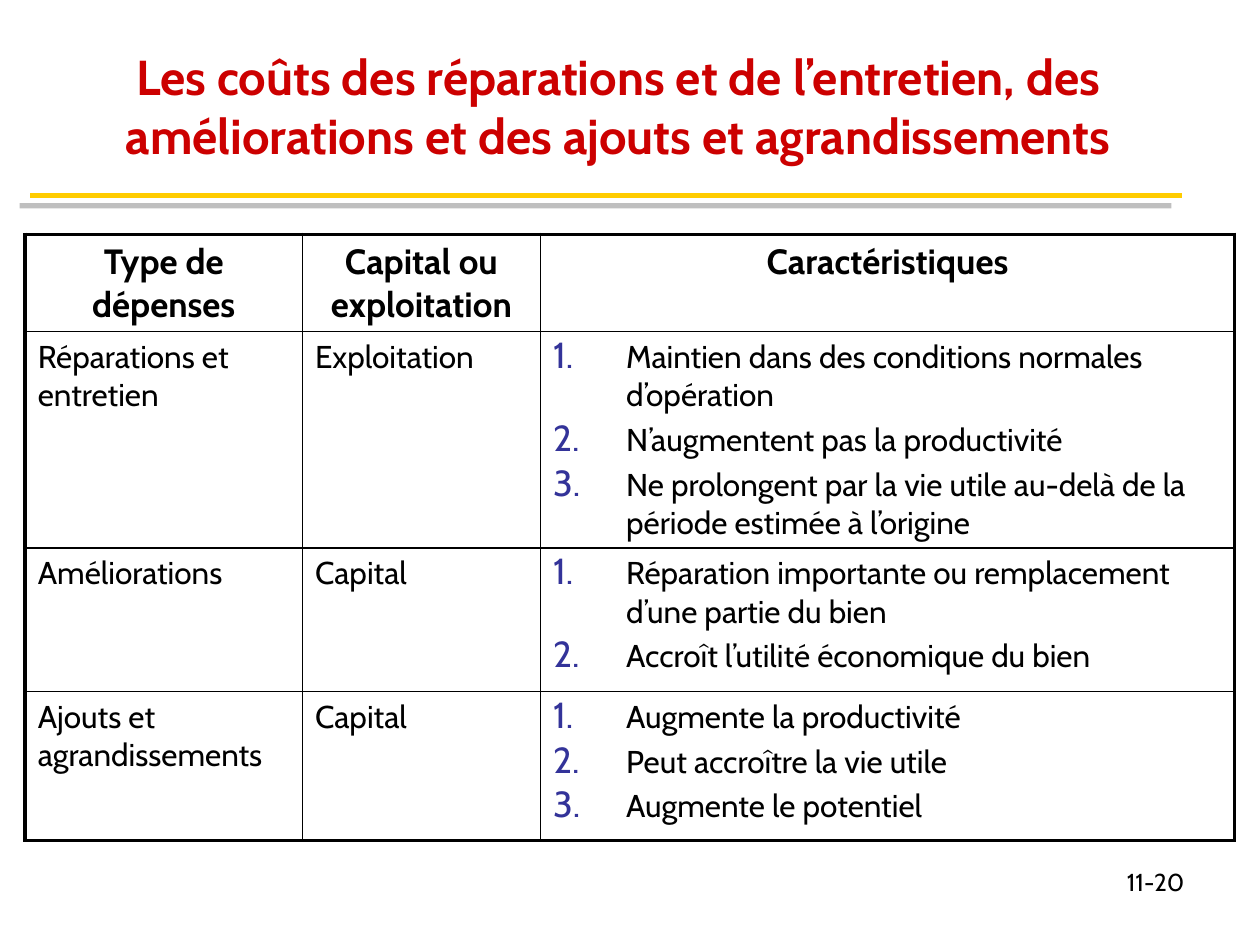
"""Build a slide comparing repair, improvement and extension costs."""
from lxml import etree
from pptx import Presentation
from pptx.dml.color import RGBColor
from pptx.enum.shapes import MSO_CONNECTOR
from pptx.enum.text import MSO_ANCHOR, PP_ALIGN
from pptx.oxml.ns import qn
from pptx.util import Inches, Pt

LEFT, CENTER, RIGHT = PP_ALIGN.LEFT, PP_ALIGN.CENTER, PP_ALIGN.RIGHT
MIDDLE, TOP = MSO_ANCHOR.MIDDLE, MSO_ANCHOR.TOP
STRAIGHT = MSO_CONNECTOR.STRAIGHT
FONT, BLACK, RED, YELLOW, BLUE = "Cabin", "000000", "CC0000", "FFCC00", "333399"
THIN, THICK = Pt(1), Pt(2.25)
INDENT = Inches(0.58)


def add_xml(parent, tag, **attributes):
    values = {name: str(value) for name, value in attributes.items()}
    return etree.SubElement(parent, qn(tag), values)


def style(paragraph, size, color=BLACK, bold=False, align=LEFT):
    paragraph.alignment = align
    font = paragraph.font
    font.name, font.size, font.bold = FONT, Pt(size), bold
    font.color.rgb = RGBColor.from_string(color)


presentation = Presentation()
presentation.slide_width, presentation.slide_height = Inches(10), Inches(7.5)
slide = presentation.slides.add_slide(presentation.slide_layouts[6])

title = "Les coûts des réparations et de l’entretien, des améliorations et des ajouts et agrandissements"
text_boxes = [
    (title, (0.31, 0.21, 9.19, 1.25), 28, RED, True, CENTER, MIDDLE),
    ("11-20", (7.17, 6.83, 2.33, 0.52), 14, BLACK, False, RIGHT, TOP),
]
for text, place, size, color, bold, align, anchor in text_boxes:
    frame = slide.shapes.add_textbox(*map(Inches, place)).text_frame
    frame.word_wrap, frame.vertical_anchor = True, anchor
    frame.text = text
    style(frame.paragraphs[0], size, color, bold, align)

rule = slide.shapes.add_connector(STRAIGHT, *map(Inches, (0.24, 1.55, 9.38, 1.55)))
rule.line.color.rgb = RGBColor.from_string(YELLOW)
rule.line.width = Pt(3)
effects = add_xml(rule._element.spPr, "a:effectLst")
shadow = add_xml(effects, "a:outerShdw", dist=Pt(8.5), dir=135 * 60000, algn="ctr", rotWithShape=0)
add_xml(add_xml(shadow, "a:srgbClr", val="808080"), "a:alpha", val=50000)

rows = [
    ("Type de dépenses", "Capital ou exploitation", ["Caractéristiques"]),
    ("Réparations et entretien", "Exploitation", [
        "Maintien dans des conditions normales d’opération",
        "N’augmentent pas la productivité",
        "Ne prolongent par la vie utile au-delà de la période estimée à l’origine"]),
    ("Améliorations", "Capital", [
        "Réparation importante ou remplacement d’une partie du bien",
        "Accroît l’utilité économique du bien"]),
    ("Ajouts et agrandissements", "Capital", [
        "Augmente la productivité",
        "Peut accroître la vie utile",
        "Augmente le potentiel"]),
]
widths, heights = (2.2, 1.89, 5.51), (0.77, 1.72, 1.14, 1.18)
table = slide.shapes.add_table(
    len(rows), len(widths), Inches(0.2), Inches(1.86),
    Inches(sum(widths)), Inches(sum(heights))).table
table.first_row = table.horz_banding = False
for column, width in zip(table.columns, widths):
    column.width = Inches(width)
for row, height in zip(table.rows, heights):
    row.height = Inches(height)

last_row, last_column = len(rows) - 1, len(widths) - 1
for row_index, (expense, treatment, features) in enumerate(rows):
    header = row_index == 0
    for column_index, lines in enumerate(([expense], [treatment], features)):
        cell = table.cell(row_index, column_index)
        cell.text = "\n".join(lines)
        for paragraph in cell.text_frame.paragraphs:
            style(paragraph, 20 if header else 18, bold=header, align=CENTER if header else LEFT)
            properties = paragraph._p.get_or_add_pPr()
            spacing = etree.Element(qn("a:spcBef"))
            add_xml(spacing, "a:spcPct", val=20000)
            properties.insert(0, spacing)
            if column_index == last_column:
                properties.set("marL", str(INDENT))
                properties.set("indent", str(-INDENT))
                if not header:
                    bullet_color = etree.Element(qn("a:buClr"))
                    add_xml(bullet_color, "a:srgbClr", val=BLUE)
                    bullet_size = etree.Element(qn("a:buSzPct"), val="115000")
                    numbering = etree.Element(qn("a:buAutoNum"), type="arabicPeriod")
                    for position, part in enumerate((bullet_color, bullet_size, numbering), 1):
                        properties.insert(position, part)

        outer_edges = {
            "a:lnL": column_index == 0,
            "a:lnR": column_index == last_column,
            "a:lnT": row_index == 0,
            "a:lnB": row_index == last_row,
        }
        cell_properties = cell._tc.get_or_add_tcPr()
        for tag, outer in outer_edges.items():
            border = add_xml(cell_properties, tag, w=THICK if outer else THIN)
            add_xml(add_xml(border, "a:solidFill"), "a:srgbClr", val=BLACK)
        cell.fill.background()

presentation.save("out.pptx")
